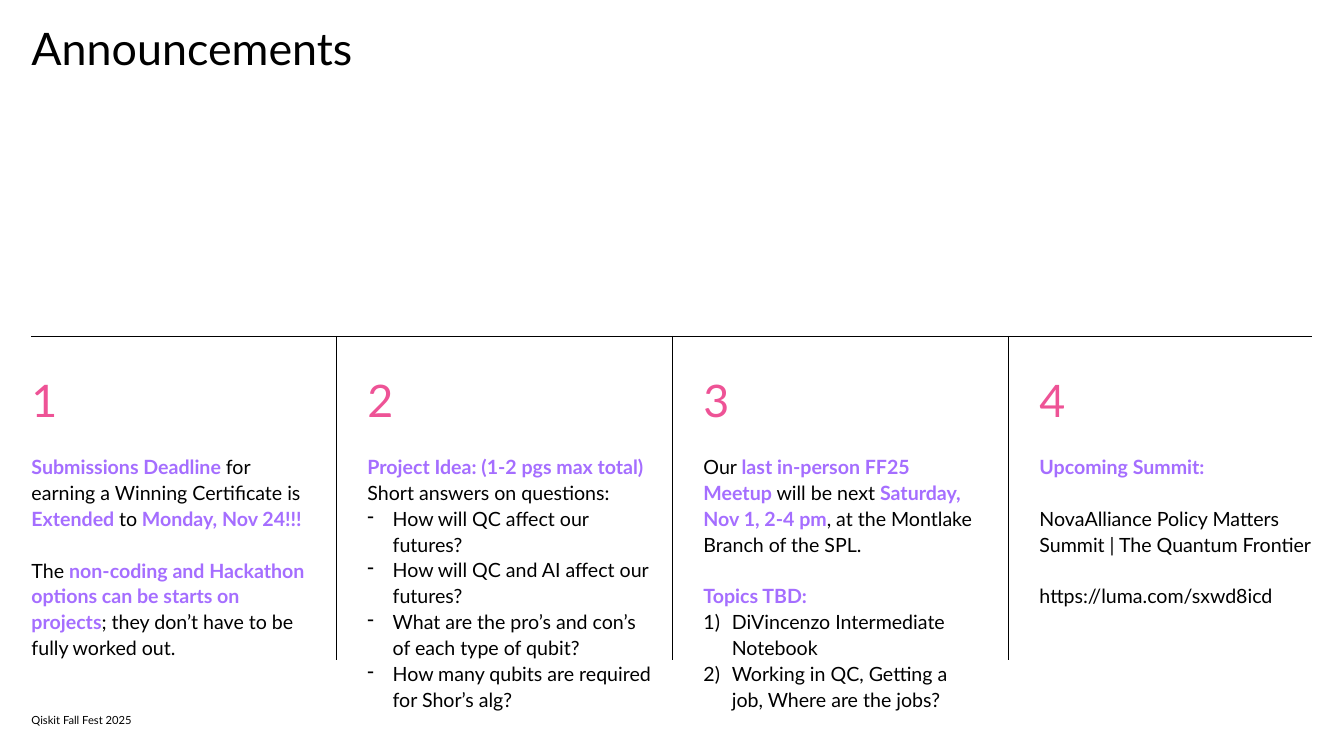
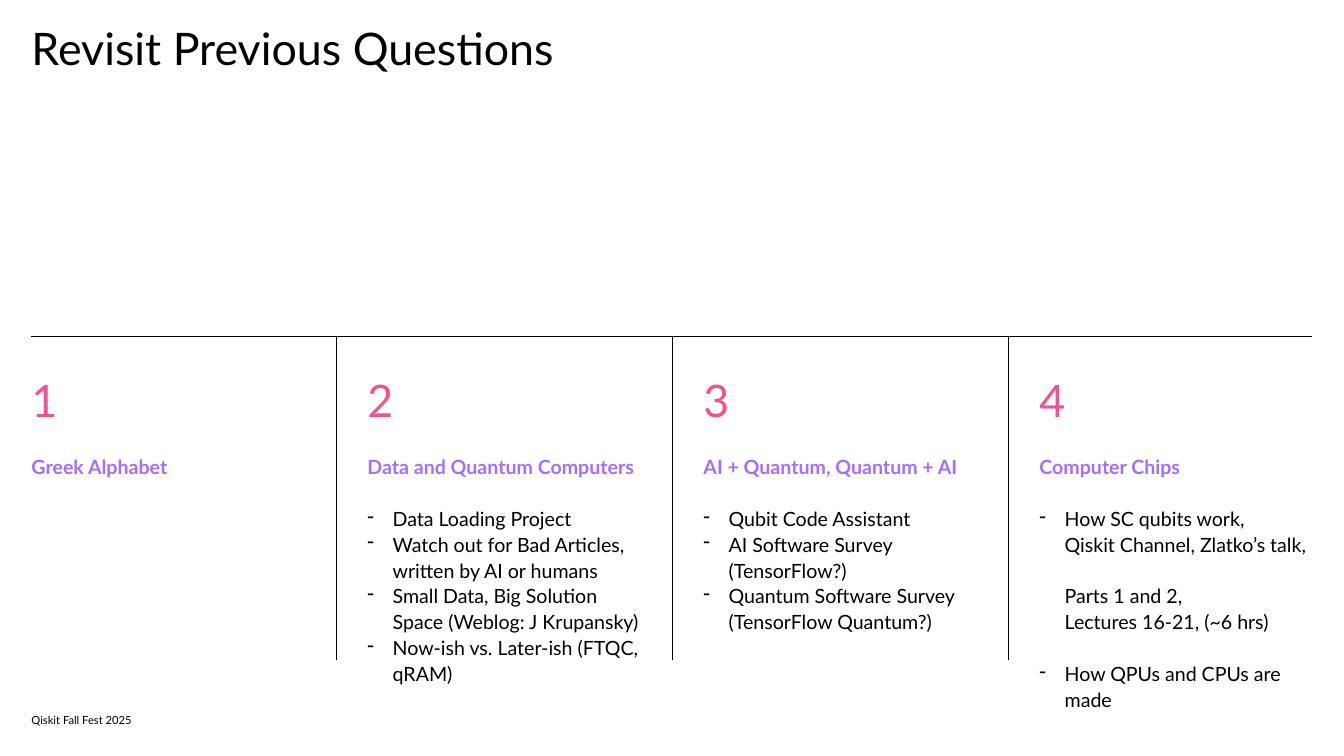
import pptx
import pptx.util
import pptx.dml.color
import pptx.enum.shapes
import pptx.enum.text
import pptx.oxml.ns
import lxml.etree

PX = 9525
WIDE, HIGH = 2560, 1440
EDGE, RULE, STEP = 60, 640, 640
FACE = "Lato"
BLACK, PINK, PURPLE = "000000", "EE5396", "A56EFF"
BIG, BODY, SMALL = 64, 28, 16
GAP = 37
TOP = pptx.enum.text.MSO_ANCHOR.TOP
LOW = pptx.enum.text.MSO_ANCHOR.BOTTOM
DENTS = {"-": 48, "1)": 54, "in": 48}


def px(count):
    """Turn pixels into EMU."""
    return pptx.util.Emu(count * PX)


def color(code):
    """Turn a hex string into a colour."""
    return pptx.dml.color.RGBColor.from_string(code)


def style(font, size, code):
    """Set the face, size and colour of a font."""
    font.name = FACE
    font.size = pptx.util.Pt(size)
    font.color.rgb = color(code)


def line(slide, x1, y1, x2, y2):
    """Draw a thin black rule."""
    rule = slide.shapes.add_connector(
        pptx.enum.shapes.MSO_CONNECTOR.STRAIGHT, px(x1), px(y1), px(x2), px(y2))
    rule.line.color.rgb = color(BLACK)
    rule.line.width = pptx.util.Pt(1)
    lxml.etree.SubElement(rule._element.spPr, pptx.oxml.ns.qn("a:effectLst"))


def frame(slide, x, y, wide, high, anchor=TOP, right=0):
    """Add a wrapped text box and return its text frame."""
    text = slide.shapes.add_textbox(px(x), px(y), px(wide), px(high)).text_frame
    text.word_wrap = True
    text.vertical_anchor = anchor
    text.margin_left = text.margin_top = text.margin_bottom = 0
    text.margin_right = px(right)
    return text


def label(text, words, size, code):
    """Fill the first paragraph of a frame."""
    para = text.paragraphs[0]
    para.add_run().text = words
    style(para.font, size, code)
    return para


def mark(para, kind):
    """Indent a paragraph and give it a dash or a number."""
    props = para._p.get_or_add_pPr()
    dent = px(DENTS[kind])
    props.set("marL", str(dent))
    if kind == "in":
        return
    props.set("indent", str(-dent))
    tag, key, value = (("a:buChar", "char", "-") if kind == "-"
                       else ("a:buAutoNum", "type", "arabicParenR"))
    lxml.etree.SubElement(props, pptx.oxml.ns.qn(tag)).set(key, value)


def item(text, words, kind="", gap=0):
    """Add a body paragraph, with the words between stars in bold purple."""
    para = text.add_paragraph()
    if kind:
        mark(para, kind)
    para.line_spacing = 1.1
    para.space_before = pptx.util.Pt(gap)
    style(para.font, BODY, BLACK)
    for place, part in enumerate(words.split("*")):
        if part:
            run = para.add_run()
            run.text = part
            if place % 2:
                run.font.bold = True
                run.font.color.rgb = color(PURPLE)


def column(slide, place, items):
    """Add a numbered column, with a rule before all but the first."""
    left = place * STEP
    if place:
        line(slide, left, RULE, left, 1257)
    text = frame(slide, left + EDGE, 700, 540 if place == 1 else 520, 660)
    label(text, str(place + 1), BIG, PINK).line_spacing = 1.1
    for entry in items:
        item(text, *entry)


def page(deck, title, columns):
    """Add a slide with a title, four columns and a footer."""
    slide = deck.slides.add_slide(deck.slide_layouts[6])
    label(frame(slide, EDGE, 40, 1160, 480, right=48), title, BIG, BLACK)
    line(slide, EDGE, RULE, WIDE - EDGE, RULE)
    for place, items in enumerate(columns):
        column(slide, place, items)
    foot = frame(slide, EDGE, 1344, 520, 40, LOW)
    label(foot, "Qiskit Fall Fest 2025", SMALL, BLACK)


NEWS = [
    [("*Submissions Deadline* for earning a Winning Certificate is "
      "*Extended *to* Monday, Nov 24!!!*", "", GAP),
     ("The *non-coding and Hackathon options can be starts on projects*"
      "; they don’t have to be fully worked out.", "", GAP)],
    [("*Project Idea: (1-2 pgs max total)*", "", GAP),
     ("Short answers on questions:",),
     ("How will QC affect our futures?", "-"),
     ("How will QC and AI affect our futures?", "-"),
     ("What are the pro’s and con’s of each type of qubit?", "-"),
     ("How many qubits are required for Shor’s alg?", "-")],
    [("Our *last in-person FF25 Meetup* will be next *Saturday, Nov 1, 2-4 pm*"
      ", at the Montlake Branch of the SPL.", "", GAP),
     ("*Topics TBD:*", "", GAP),
     ("DiVincenzo Intermediate Notebook", "1)"),
     ("Working in QC, Getting a job, Where are the jobs?", "1)")],
    [("*Upcoming Summit:*", "", GAP),
     ("NovaAlliance Policy Matters Summit | The Quantum Frontier", "", GAP),
     ("https://luma.com/sxwd8icd", "", GAP)],
]

REVIEW = [
    [("*Greek Alphabet*", "", GAP)],
    [("*Data and Quantum Computers*", "", GAP),
     ("Data Loading Project", "-", GAP),
     ("Watch out for Bad Articles, written by AI or humans", "-"),
     ("Small Data, Big Solution Space (Weblog: J Krupansky)", "-"),
     ("Now-ish vs. Later-ish (FTQC, qRAM)", "-")],
    [("*AI + Quantum, Quantum + AI*", "", GAP),
     ("Qubit Code Assistant", "-", GAP),
     ("AI Software Survey (TensorFlow?)", "-"),
     ("Quantum Software Survey (TensorFlow Quantum?)", "-")],
    [("*Computer Chips*", "", GAP),
     ("How SC qubits work,", "-", GAP),
     ("Qiskit Channel, Zlatko’s talk,", "in"),
     ("Parts 1 and 2,", "in", GAP),
     ("Lectures 16-21, (~6 hrs)", "in"),
     ("How QPUs and CPUs are made", "-", GAP)],
]


def main():
    """Build and save the deck."""
    deck = pptx.Presentation()
    deck.slide_width, deck.slide_height = px(WIDE), px(HIGH)
    page(deck, "Announcements", NEWS)
    page(deck, "Revisit Previous Questions", REVIEW)
    deck.save("out.pptx")


if __name__ == "__main__":
    main()
